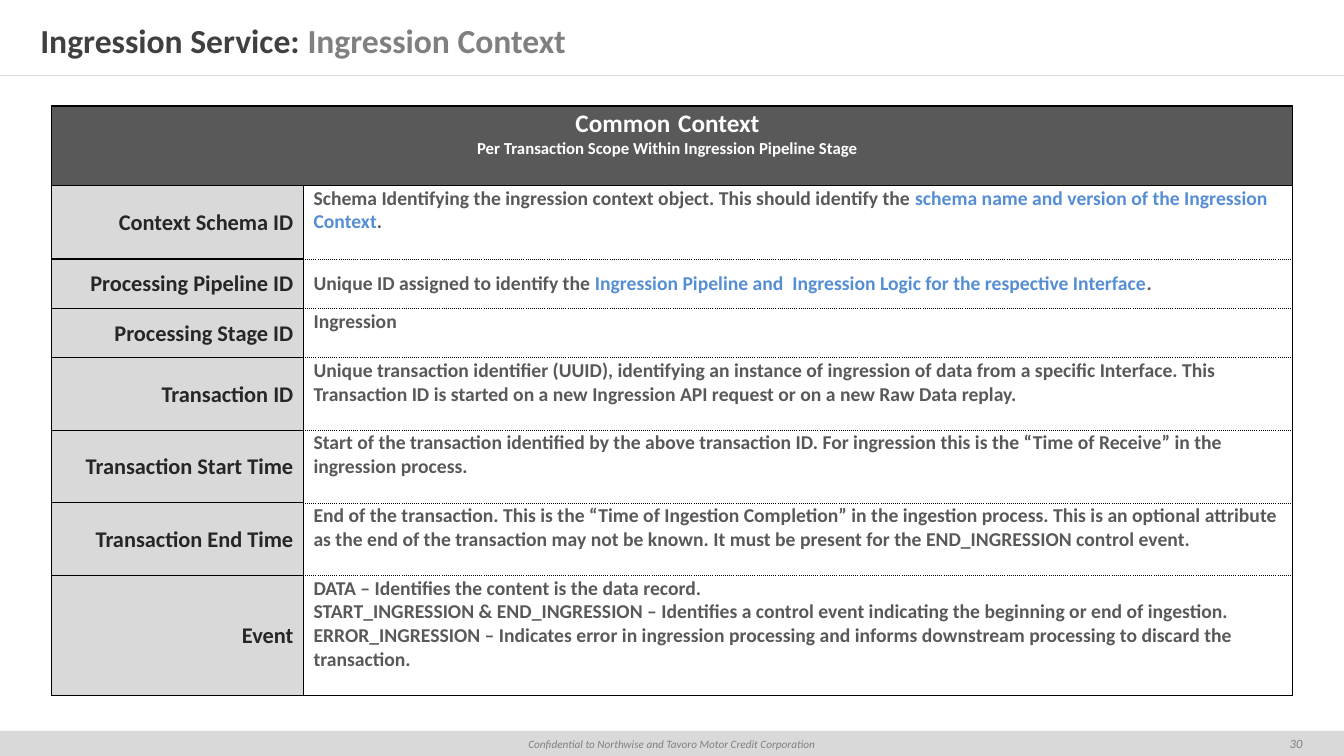
"""Builds the Ingression Context slide with its common context table."""
from lxml.etree import SubElement
from pptx import Presentation
from pptx.dml.color import RGBColor
from pptx.enum.shapes import MSO_CONNECTOR as Connector, MSO_SHAPE as Shape
from pptx.enum.text import MSO_ANCHOR as Anchor, PP_ALIGN as Align
from pptx.oxml.ns import qn
from pptx.util import Inches, Pt

COLORS = {
    "white": "FFFFFF", "black": "000000", "band": "D9D9D9", "header": "595959",
    "label": "262626", "body": "595959", "accent": "558ED5",
    "title": "404040", "muted": "808080", "navy": "002060",
}
HEADER = [
    [("Common", "white", 18), (" ", "navy", 20, "Arial"), ("Context", "white", 18)],
    [("Per Transaction Scope Within Ingression Pipeline Stage", "white", 12)],
]
ROWS = [
    ("Context Schema ID", 0.73, [[
        ("Schema Identifying the ingression context object. This should identify the ", "body"),
        ("schema name and version of the Ingression Context", "accent"), (".", "body")]]),
    ("Processing Pipeline ID", 0.49, [[
        ("Unique ID assigned to identify the ", "body"),
        ("Ingression Pipeline and  Ingression Logic for the respective Interface", "accent"),
        (".", "body")]]),
    ("Processing Stage ID", 0.49, [[("Ingression", "body")]]),
    ("Transaction ID", 0.72, [[
        ("Unique transaction identifier (UUID), identifying an instance of ingression of data "
         "from a specific Interface. This Transaction ID is started on a new Ingression API "
         "request or on a new Raw Data replay.", "body")]]),
    ("Transaction Start Time", 0.72, [[
        ("Start of the transaction identified by the above transaction ID. For ingression this "
         "is the “Time of Receive” in the ingression process.", "body")]]),
    ("Transaction End Time", 0.72, [[
        ("End of the transaction. This is the “Time of Ingestion Completion” in the ingestion "
         "process. This is an optional attribute as the end of the transaction may not be known. "
         "It must be present for the END_INGRESSION control event.", "body")]]),
    ("Event", 1.19, [
        [("DATA – Identifies the content is the data record.", "body")],
        [("START_INGRESSION & END_INGRESSION – Identifies a control event indicating the "
          "beginning or end of ingestion.", "body")],
        [("ERROR_INGRESSION – Indicates error in ingression processing and informs downstream "
          "processing to discard the transaction.", "body")]]),
]
SOLID, THICK, DOTTED = (1, "solid"), (1.5, "solid"), (0.5, "sysDot")


def color(name):
    return RGBColor.from_string(COLORS[name])


class ContextSlide:
    def __init__(self, deck, font="Calibri"):
        self.page = deck.slides.add_slide(deck.slide_layouts[6])
        self.font = font

    def fill_text(self, frame, paragraphs, size, align=Align.LEFT, bold=True, italic=False):
        for index, spans in enumerate(paragraphs):
            para = frame.add_paragraph() if index else frame.paragraphs[0]
            para.alignment = align
            for text, tint, *custom in spans:
                span = para.add_run()
                span.text = text
                span.font.size = Pt(custom[0] if custom else size)
                span.font.name = custom[1] if len(custom) > 1 else self.font
                span.font.bold, span.font.italic = bold, italic
                span.font.color.rgb = color(tint)

    def bar(self, left, top, width, height, fill):
        box = self.page.shapes.add_shape(
            Shape.RECTANGLE, Inches(left), Inches(top), Inches(width), Inches(height))
        box.shadow.inherit = False
        box.fill.solid()
        box.fill.fore_color.rgb = color(fill)
        box.line.fill.background()

    def text(self, left, top, width, height, spans, size, margins=(0.1, 0.05), **style):
        box = self.page.shapes.add_textbox(
            Inches(left), Inches(top), Inches(width), Inches(height))
        frame = box.text_frame
        frame.word_wrap = True
        frame.vertical_anchor = Anchor.MIDDLE
        frame.margin_left = frame.margin_right = Inches(margins[0])
        frame.margin_top = frame.margin_bottom = Inches(margins[1])
        self.fill_text(frame, [spans], size, **style)

    def rule(self, top, width, tint):
        line = self.page.shapes.add_connector(
            Connector.STRAIGHT, 0, Inches(top), Inches(width), Inches(top))
        line.line.color.rgb = color(tint)
        line.line.width = Pt(0.25)
        SubElement(line._element.spPr, qn("a:effectLst"))

    def cell(self, cell, paragraphs, size, borders, fill=None, align=Align.LEFT,
             anchor=Anchor.TOP, margins=(0.01, 0.1)):
        cell.margin_left, cell.margin_right = map(Inches, margins)
        cell.margin_top, cell.margin_bottom = Inches(0.01), 0
        cell.vertical_anchor = anchor
        self.fill_text(cell.text_frame, paragraphs, size, align)
        properties = cell._tc.get_or_add_tcPr()
        for side, (width, dash) in zip("LRTB", borders):
            line = SubElement(properties, qn(f"a:ln{side}"), w=str(Pt(width)))
            paint = SubElement(line, qn("a:solidFill"))
            SubElement(paint, qn("a:srgbClr"), val=COLORS["black"])
            SubElement(line, qn("a:prstDash"), val=dash)
        if fill:
            cell.fill.solid()
            cell.fill.fore_color.rgb = color(fill)
        else:
            cell.fill.background()

    def context_table(self, left, top, widths, header_height):
        heights = [header_height] + [height for _, height, _ in ROWS]
        table = self.page.shapes.add_table(
            len(heights), len(widths), Inches(left), Inches(top),
            Inches(sum(widths)), Inches(sum(heights))).table
        table.first_row = table.horz_banding = False
        for column, width in zip(table.columns, widths):
            column.width = Inches(width)
        for row, height in zip(table.rows, heights):
            row.height = Inches(height)
        table.cell(0, 0).merge(table.cell(0, 1))
        for column, paragraphs in enumerate((HEADER, [])):
            self.cell(table.cell(0, column), paragraphs, 18,
                      (SOLID, SOLID, THICK, SOLID), "header", Align.CENTER)
        for index, (label, _, paragraphs) in enumerate(ROWS, 1):
            self.cell(table.cell(index, 0), [[(label, "label")]], 16, [SOLID] * 4,
                      "band", Align.RIGHT, Anchor.MIDDLE)
            above = SOLID if index == 1 else DOTTED
            below = SOLID if index == len(ROWS) else DOTTED
            anchor = Anchor.MIDDLE if label == "Processing Pipeline ID" else Anchor.TOP
            self.cell(table.cell(index, 1), paragraphs, 14, (SOLID, SOLID, above, below),
                      anchor=anchor, margins=(0.1, 0.01))


def main():
    deck = Presentation()
    deck.slide_width, deck.slide_height = Inches(13.33), Inches(7.5)
    slide = ContextSlide(deck)
    footer = {"align": Align.CENTER, "bold": False, "italic": True}
    slide.bar(0, 7.25, 13.33, 0.25, "band")
    slide.text(0, 7.26, 13.33, 0.24,
               [("Confidential to Northwise and Tavoro Motor Credit Corporation", "muted")],
               8, **footer)
    slide.rule(0.75, 13.33, "band")
    slide.text(12.5, 7.25, 0.71, 0.25, [("30", "muted")], 9, (0.1, 0.1), **footer)
    slide.text(0, 0.16, 13.33, 0.48,
               [("Ingression Service: ", "title"), ("Ingression Context", "muted")],
               24, (0.4, 0.2))
    slide.context_table(0.51, 1.05, (2.5, 9.81), 0.79)
    deck.save("out.pptx")


if __name__ == "__main__":
    main()
